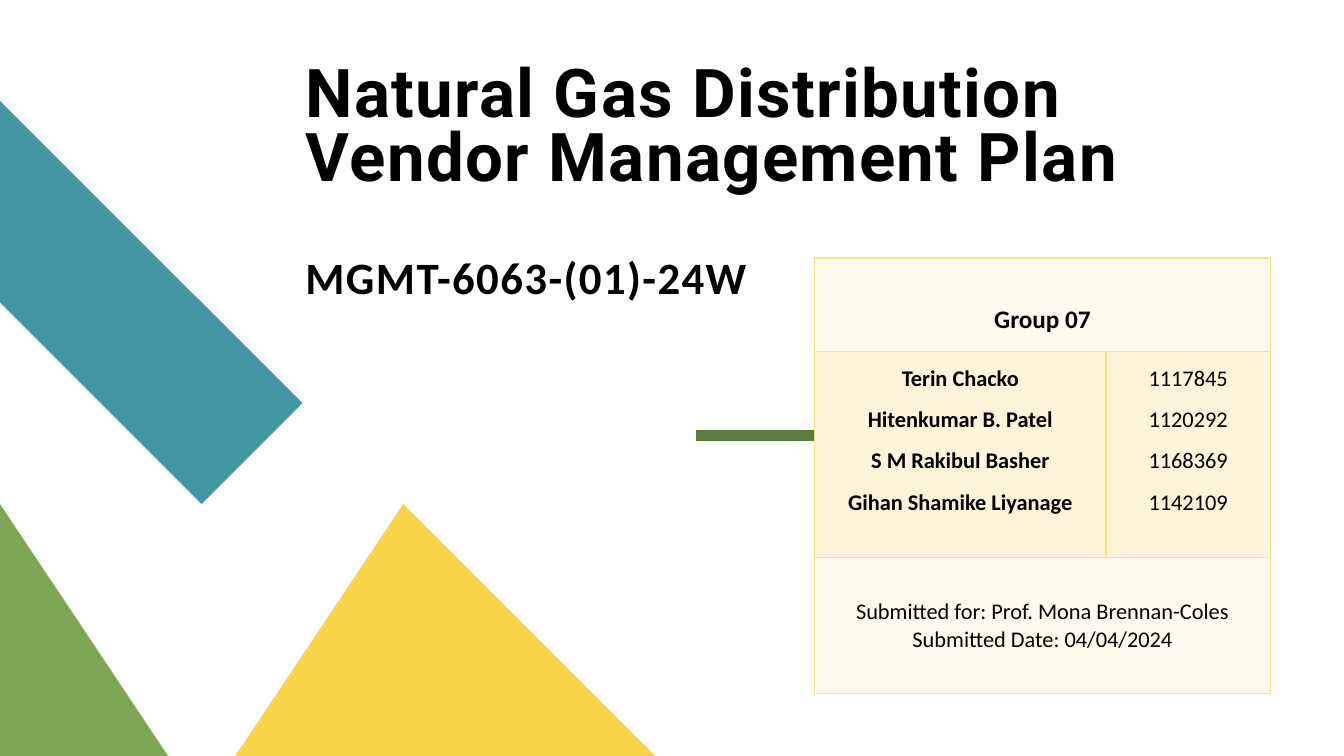
import pptx
import pptx.util
import pptx.dml.color
import pptx.enum.shapes
import pptx.enum.text
import pptx.oxml
import pptx.oxml.ns
from lxml import etree

RGB = pptx.dml.color.RGBColor
Inches = pptx.util.Inches
Pt = pptx.util.Pt

TEAL = RGB(0x44, 0x95, 0xA2)
GREEN = RGB(0x7C, 0xA6, 0x55)
YELLOW = RGB(0xF9, 0xD4, 0x48)
DARK_GREEN = RGB(0x5D, 0x7D, 0x40)
BORDER = RGB(0xFB, 0xE2, 0x84)
PALE = RGB(0xFE, 0xFA, 0xED)
CREAM = RGB(0xFD, 0xF4, 0xD9)
BLACK = RGB(0, 0, 0)

WIDTH, HEIGHT = 13.33, 7.5

TITLE = ["Natural Gas Distribution", "Vendor Management Plan"]
COURSE = "MGMT-6063-(01)-24W"
GROUP = "Group 07"
MEMBERS = {
    "Terin Chacko": "1117845",
    "Hitenkumar B. Patel": "1120292",
    "S M Rakibul Basher": "1168369",
    "Gihan Shamike Liyanage": "1142109",
}
SUBMISSION = ["Submitted for: Prof. Mona Brennan-Coles", "Submitted Date: 04/04/2024"]

BANDS = [
    (TEAL, [(0, 0.83), (0, 3.07), (2.24, 5.31), (3.36, 4.19)]),
    (GREEN, [(0, 5.32), (0, HEIGHT), (2.18, HEIGHT)]),
    (YELLOW, [(6.67, HEIGHT), (4.48, 5.31), (2.29, HEIGHT)]),
]
COLUMNS = [2.89, 1.63]
ROWS = [0.93, 2.04, 1.35]


def add_run(paragraph, text, size, bold, font="Calibri"):
    run = paragraph.add_run()
    run.text = text
    run.font.size = Pt(size)
    run.font.bold = bold
    run.font.name = font
    run.font.color.rgb = BLACK
    return run


def add_title_run(paragraph, text, size, font):
    run = add_run(paragraph, text, size, True, font)
    run.font._element.set("spc", "100")


def add_borders(cell):
    properties = cell._tc.get_or_add_tcPr()
    for side in ("lnL", "lnR", "lnT", "lnB"):
        properties.append(pptx.oxml.parse_xml(
            f'<a:{side} {pptx.oxml.ns.nsdecls("a")} w="{Pt(1)}">'
            f'<a:solidFill><a:srgbClr val="{BORDER}"/></a:solidFill></a:{side}>'))


def fill_cell(cell, lines, spacings, size, bold):
    cell.margin_left = cell.margin_right = Inches(0.07)
    cell.margin_top = cell.margin_bottom = 0
    frame = cell.text_frame
    for index, (line, spacing) in enumerate(zip(lines, spacings)):
        paragraph = frame.add_paragraph() if index else frame.paragraphs[0]
        paragraph.alignment = pptx.enum.text.PP_ALIGN.CENTER
        paragraph.line_spacing = spacing
        add_run(paragraph, line, size, bold)


deck = pptx.Presentation()
deck.slide_width, deck.slide_height = Inches(WIDTH), Inches(HEIGHT)
slide = deck.slides.add_slide(deck.slide_layouts[6])

for color, points in BANDS:
    builder = slide.shapes.build_freeform(*points[0], scale=Inches(1))
    builder.add_line_segments(points[1:], close=True)
    band = builder.convert_to_shape()
    band.shadow.inherit = False
    band.fill.solid()
    band.fill.fore_color.rgb = color
    band.line.fill.background()

accent = slide.shapes.add_connector(
    pptx.enum.shapes.MSO_CONNECTOR.STRAIGHT,
    Inches(6.9), Inches(4.32), Inches(9.23), Inches(4.32))
accent.line.color.rgb = DARK_GREEN
accent.line.width = Pt(8)
etree.SubElement(accent._element.spPr, pptx.oxml.ns.qn("a:effectLst"))

heading = slide.shapes.add_textbox(
    Inches(3.03), Inches(0.65), Inches(10.1), Inches(2.4)).text_frame
heading.word_wrap = True
heading.margin_left = heading.margin_right = 0
heading.margin_top = heading.margin_bottom = 0
title = heading.paragraphs[0]
title.line_spacing = 0.8
add_title_run(title, TITLE[0], 48, "Roboto")
title.add_line_break()
add_title_run(title, TITLE[1], 48, "Roboto")
course = heading.add_paragraph()
course.line_spacing = 0.8
course.space_before = Pt(47)
add_title_run(course, COURSE, 32, "Calibri")

team = slide.shapes.add_table(
    len(ROWS), len(COLUMNS), Inches(8.08), Inches(2.56),
    Inches(sum(COLUMNS)), Inches(sum(ROWS))).table
for column, width in zip(team.columns, COLUMNS):
    column.width = Inches(width)
for row, height, color in zip(team.rows, ROWS, (PALE, CREAM, PALE)):
    row.height = Inches(height)
    for cell in row.cells:
        add_borders(cell)
        cell.fill.solid()
        cell.fill.fore_color.rgb = color
for row in (0, 2):
    team.cell(row, 0).merge(team.cell(row, 1))

fill_cell(team.cell(0, 0), [GROUP], [2.5], 18, True)
fill_cell(team.cell(1, 0), MEMBERS.keys(), [1.5] * len(MEMBERS), 16, True)
fill_cell(team.cell(1, 1), MEMBERS.values(), [1.5] * len(MEMBERS), 16, False)
fill_cell(team.cell(2, 0), SUBMISSION, [2.5, 1.0], 16, False)

deck.save("out.pptx")
